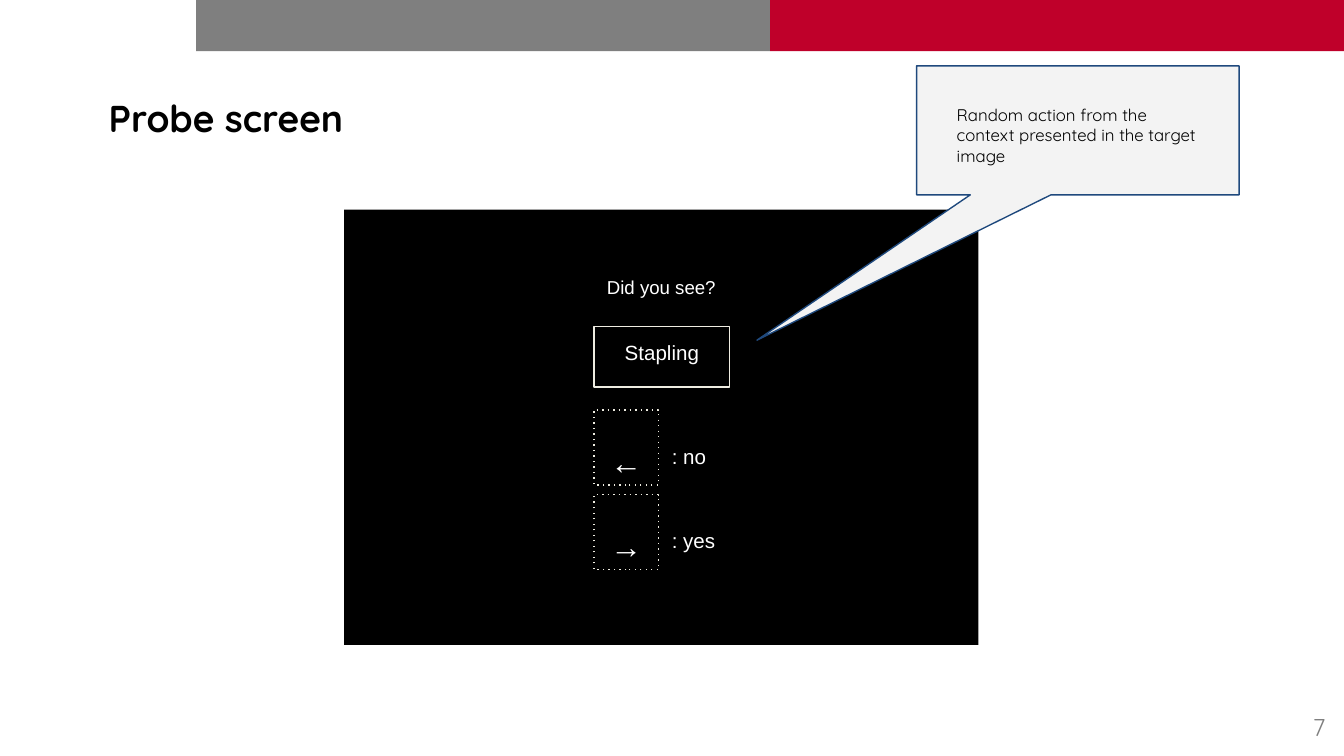
from dataclasses import dataclass

from pptx import Presentation
from pptx.dml.color import RGBColor
from pptx.enum.shapes import MSO_SHAPE
from pptx.enum.text import MSO_ANCHOR, PP_ALIGN
from pptx.oxml.ns import qn
from pptx.util import Inches, Pt
from lxml import etree

RECTANGLE = MSO_SHAPE.RECTANGLE
CALLOUT = MSO_SHAPE.ROUNDED_RECTANGULAR_CALLOUT
TOP, MIDDLE = MSO_ANCHOR.TOP, MSO_ANCHOR.MIDDLE
LEFT, CENTER, RIGHT = PP_ALIGN.LEFT, PP_ALIGN.CENTER, PP_ALIGN.RIGHT


@dataclass(frozen=True)
class Theme:
    heading_font: str = "Quicksand"
    screen_font: str = "Arial"
    black: str = "000000"
    white: str = "FFFFFF"
    gray: str = "7F7F7F"
    red: str = "BF002A"
    cream: str = "EEECE1"
    pale: str = "F3F3F3"
    blue: str = "1F497D"
    title_size: float = 20
    arrow_size: float = 17
    number_size: float = 13
    label_size: float = 11
    question_size: float = 10
    note_size: float = 9
    line_width: float = 0.75


theme = Theme()
presentation = Presentation()
presentation.slide_width = Inches(10)
presentation.slide_height = Inches(10) * 9 // 16
slide = presentation.slides.add_slide(presentation.slide_layouts[6])


def add_box(kind, left, top, width, height, fill=None, line=None, dash=None):
    shape = slide.shapes.add_shape(
        kind, Inches(left), Inches(top), Inches(width), Inches(height))
    shape.shadow.inherit = False
    if fill:
        shape.fill.solid()
        shape.fill.fore_color.rgb = RGBColor.from_string(fill)
    else:
        shape.fill.background()
    if line:
        shape.line.color.rgb = RGBColor.from_string(line)
        shape.line.width = Pt(theme.line_width)
        if dash:
            outline = shape.element.spPr.find(qn("a:ln"))
            etree.SubElement(outline, qn("a:prstDash")).set("val", dash)
    else:
        shape.line.fill.background()
    return shape


def set_text(shape, text, size, font=theme.screen_font, color=theme.white,
             align=CENTER, anchor=TOP, inset=0.1, spacing=None, bold=False):
    frame = shape.text_frame
    frame.text = text
    frame.word_wrap = True
    frame.vertical_anchor = anchor
    frame.margin_left = frame.margin_right = Inches(0.1)
    frame.margin_top = frame.margin_bottom = Inches(inset)
    paragraph = frame.paragraphs[0]
    paragraph.alignment = align
    if spacing:
        paragraph.line_spacing = spacing
    run_font = paragraph.runs[0].font
    run_font.name = font
    run_font.size = Pt(size)
    run_font.bold = bold
    run_font.color.rgb = RGBColor.from_string(color)


# Header band
for left, color in ((1.46, theme.gray), (5.73, theme.red)):
    add_box(RECTANGLE, left, 0, 4.27, 0.38, fill=color)

# Title
title = slide.shapes.add_textbox(Inches(0.71), Inches(0.66), Inches(8.65), Inches(0.43))
set_text(title, "Probe screen", theme.title_size, theme.heading_font, theme.black,
         LEFT, MIDDLE, inset=0.05, bold=True)

# Probe screen with the question and the probed action
add_box(RECTANGLE, 2.56, 1.56, 4.72, 3.24, fill=theme.black)
action = add_box(RECTANGLE, 4.42, 2.43, 1.01, 0.45, line=theme.cream)
set_text(action, "Stapling", theme.label_size)
question = slide.shapes.add_textbox(Inches(4.32), Inches(1.92), Inches(1.2), Inches(0.43))
set_text(question, "Did you see?", theme.question_size, anchor=MIDDLE)

# Answer keys
for row, (arrow, answer) in enumerate((("←", ": no"), ("→", ": yes"))):
    key_top = 3.05 + row * 0.63
    key = add_box(RECTANGLE, 4.42, key_top, 0.48, 0.56, line=theme.cream, dash="dot")
    set_text(key, arrow, theme.arrow_size, spacing=1.5)
    label = slide.shapes.add_textbox(
        Inches(4.9), Inches(key_top + 0.06), Inches(0.62), Inches(0.45))
    set_text(label, answer, theme.label_size, align=LEFT, spacing=1.5)

# Callout pointing at the probed action
callout = add_box(CALLOUT, 6.82, 0.49, 2.4, 0.96, fill=theme.pale, line=theme.blue)
for index, value in enumerate((-0.995, 1.627, 0)):
    callout.adjustments[index] = value
note = slide.shapes.add_textbox(Inches(7.02), Inches(0.68), Inches(2.01), Inches(0.58))
set_text(note, "Random action from the context presented in the target image",
         theme.note_size, theme.heading_font, theme.black, LEFT)

# Slide number
number = slide.shapes.add_textbox(Inches(9.36), Inches(5.19), Inches(0.6), Inches(0.43))
set_text(number, "7", theme.number_size, theme.heading_font, theme.gray, RIGHT, MIDDLE)

presentation.save("out.pptx")
